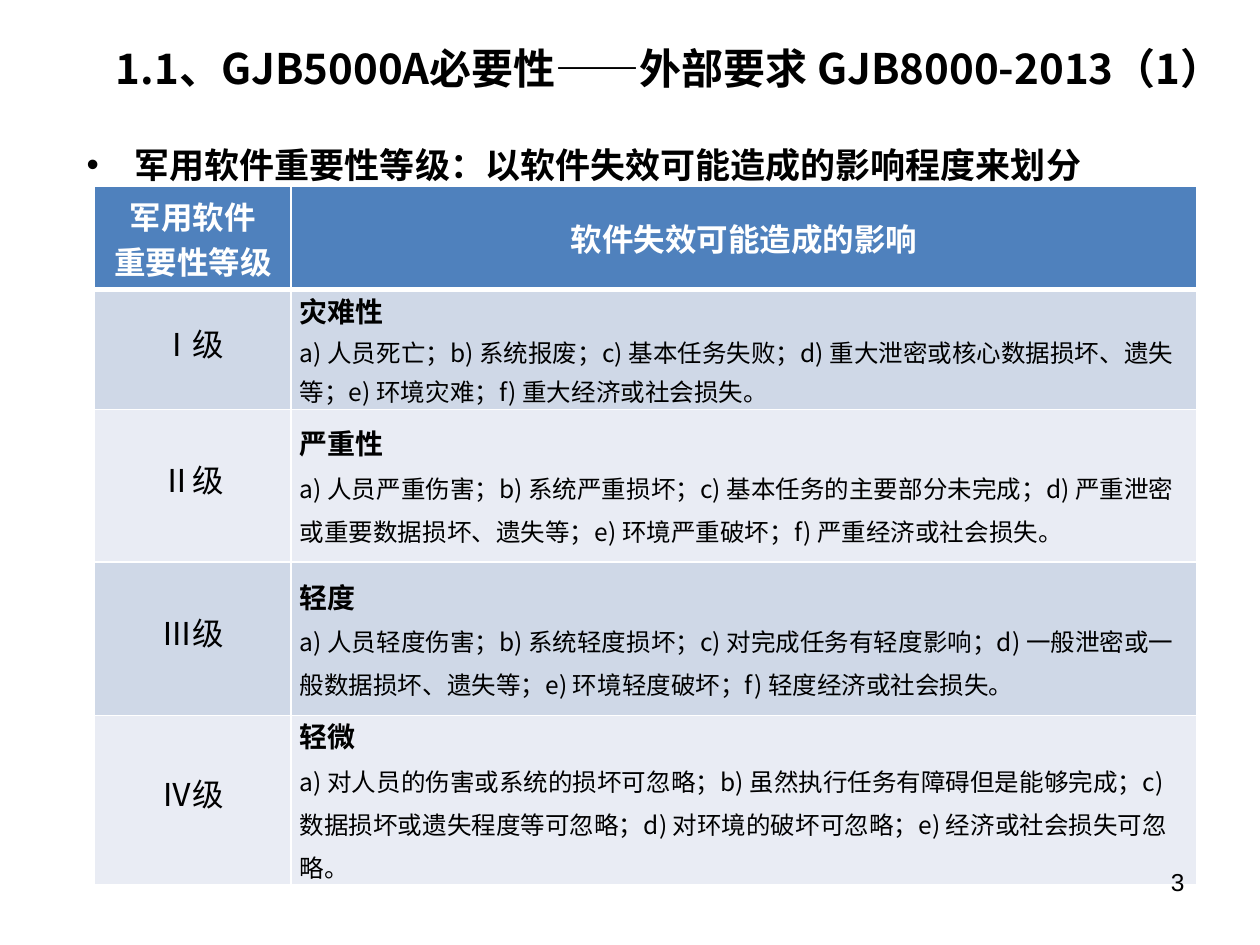
from typing import NamedTuple

from lxml.etree import SubElement
from pptx import Presentation
from pptx.dml.color import RGBColor
from pptx.enum.text import MSO_ANCHOR, PP_ALIGN
from pptx.oxml.ns import qn
from pptx.util import Inches, Pt

SANS = "Noto Sans CJK SC"
SERIF = "Times New Roman"


class Style(NamedTuple):
    """Typeface, size, colour and weight of a span."""
    name: str
    size: int
    color: str = "000000"
    bold: bool = False


class Level(NamedTuple):
    """One importance level and the effects of its failures."""
    grade: str
    severity: str
    spacing: float
    effects: list[str]


TITLE = Style(SANS, 24, bold=True)
LEAD = Style("Arial", 20, bold=True)
HEADER = Style("Calibri", 18, "FFFFFF", True)
GRADE = Style(SERIF, 18)
SEVERITY = Style(SERIF, 16, bold=True)
MARKER = Style(SANS, 14)
EFFECT = Style(SERIF, 14)
NUMBER = Style("Arial", 14)

COLUMNS = [1.56, 7.19]
ROWS = [0.82, 0.95, 1.21, 1.22, 1.34]
HEADINGS = [["军用软件", "重要性等级"], ["软件失效可能造成的影响"]]
LEVELS = [
    Level("Ⅰ级", "灾难性", 1.1, ["人员死亡；", "系统报废；", "基本任务失败；",
          "重大泄密或核心数据损坏、遗失等；", "环境灾难；", "重大经济或社会损失。"]),
    Level("Ⅱ级", "严重性", 1.2, ["人员严重伤害；", "系统严重损坏；",
          "基本任务的主要部分未完成；", "严重泄密或重要数据损坏、遗失等；",
          "环境严重破坏；", "严重经济或社会损失。"]),
    Level("Ⅲ级", "轻度", 1.2, ["人员轻度伤害；", "系统轻度损坏；",
          "对完成任务有轻度影响；", "一般泄密或一般数据损坏、遗失等；",
          "环境轻度破坏；", "轻度经济或社会损失。"]),
    Level("Ⅳ级", "轻微", 1.2, ["对人员的伤害或系统的损坏可忽略；",
          "虽然执行任务有障碍但是能够完成；", "数据损坏或遗失程度等可忽略；",
          "对环境的破坏可忽略；", "经济或社会损失可忽略。"]),
]


def color(value: str) -> RGBColor:
    """Turn a hex string into a colour."""
    return RGBColor.from_string(value)


def apply(target, values: dict) -> None:
    """Set each named attribute on the target."""
    for key, value in values.items():
        setattr(target, key, value)


def add_span(para, text: str, style: Style) -> None:
    """Append a styled span to a paragraph."""
    span = para.add_run()
    span.text = text
    apply(span.font, {"name": style.name, "size": Pt(style.size), "bold": style.bold})
    span.font.color.rgb = color(style.color)
    SubElement(span.font._element, qn("a:ea"), typeface=SANS)


def add_para(frame, spans: list[tuple[str, Style]], **layout):
    """Fill the empty first paragraph or append another one."""
    first = frame.paragraphs[0]
    para = frame.add_paragraph() if first.runs else first
    apply(para, layout)
    for text, style in spans:
        add_span(para, text, style)
    return para


def add_text(page, area: tuple, text: str, style: Style, align, anchor=MSO_ANCHOR.TOP):
    """Add a wrapping text box holding one paragraph."""
    frame = page.shapes.add_textbox(*map(Inches, area)).text_frame
    apply(frame, {"word_wrap": True, "vertical_anchor": anchor})
    return add_para(frame, [(text, style)], alignment=align)


def add_bullet(para) -> None:
    """Give a paragraph a round bullet with a hanging indent."""
    properties = para._p.get_or_add_pPr()
    indent = Inches(0.38)
    properties.set("marL", str(indent))
    properties.set("indent", str(-indent))
    SubElement(properties, qn("a:buFont"), typeface="Arial")
    SubElement(properties, qn("a:buChar"), char="•")


def paint_cell(cell, fill: str, top: int = 1, bottom: int = 1) -> None:
    """Fill a cell and rule its edges in white."""
    cell.vertical_anchor = MSO_ANCHOR.MIDDLE
    properties = cell._tc.get_or_add_tcPr()
    for edge, width in {"L": 1, "R": 1, "T": top, "B": bottom}.items():
        line = SubElement(properties, qn(f"a:ln{edge}"), w=str(Pt(width)))
        SubElement(SubElement(line, qn("a:solidFill")), qn("a:srgbClr"), val="FFFFFF")
    cell.fill.solid()
    cell.fill.fore_color.rgb = color(fill)


def fill_level(cells, level: Level, index: int) -> None:
    """Write one importance level into a table row."""
    for cell in cells:
        paint_cell(cell, ["CFD8E7", "E9ECF4"][index % 2], top=1 if index else 3)
        apply(cell, {"margin_left": Inches(0.07), "margin_right": Inches(0.07),
                     "margin_top": 0, "margin_bottom": 0})
    grade, detail = (cell.text_frame for cell in cells)
    add_para(grade, [(level.grade, GRADE)], alignment=PP_ALIGN.CENTER, line_spacing=Pt(18))
    add_para(detail, [(level.severity, SEVERITY)])
    spans = []
    for letter, effect in zip("abcdef", level.effects):
        spans += [(f"{letter}) ", MARKER), (effect, EFFECT)]
    add_para(detail, spans, line_spacing=level.spacing)


def add_levels_table(page) -> None:
    """Add the table of importance levels."""
    area = map(Inches, (0.75, 1.48, sum(COLUMNS), sum(ROWS)))
    table = page.shapes.add_table(len(ROWS), len(COLUMNS), *area).table
    table.horz_banding = False
    for column, width in zip(table.columns, COLUMNS):
        column.width = Inches(width)
    for row, height in zip(table.rows, ROWS):
        row.height = Inches(height)
    for cell, lines in zip(table.rows[0].cells, HEADINGS):
        paint_cell(cell, "4F81BD", bottom=3)
        for line in lines:
            add_para(cell.text_frame, [(line, HEADER)], alignment=PP_ALIGN.CENTER)
    for index, level in enumerate(LEVELS):
        fill_level(list(table.rows[index + 1].cells), level, index)


def main() -> None:
    """Build the slide and save the deck."""
    deck = Presentation()
    apply(deck, {"slide_width": Inches(10), "slide_height": Inches(7.5)})
    page = deck.slides.add_slide(deck.slide_layouts[6])
    add_text(page, (0.45, 0.14, 9.35, 0.79), "1.1、GJB5000A必要性——外部要求 GJB8000-2013（1）",
             TITLE, PP_ALIGN.RIGHT, MSO_ANCHOR.MIDDLE)
    lead = add_text(page, (0.59, 1.09, 9, 4.95),
                    "军用软件重要性等级：以软件失效可能造成的影响程度来划分", LEAD, PP_ALIGN.LEFT)
    add_bullet(lead)
    add_levels_table(page)
    add_text(page, (7.17, 6.83, 2.33, 0.52), "3", NUMBER, PP_ALIGN.RIGHT)
    deck.save("out.pptx")


if __name__ == "__main__":
    main()
